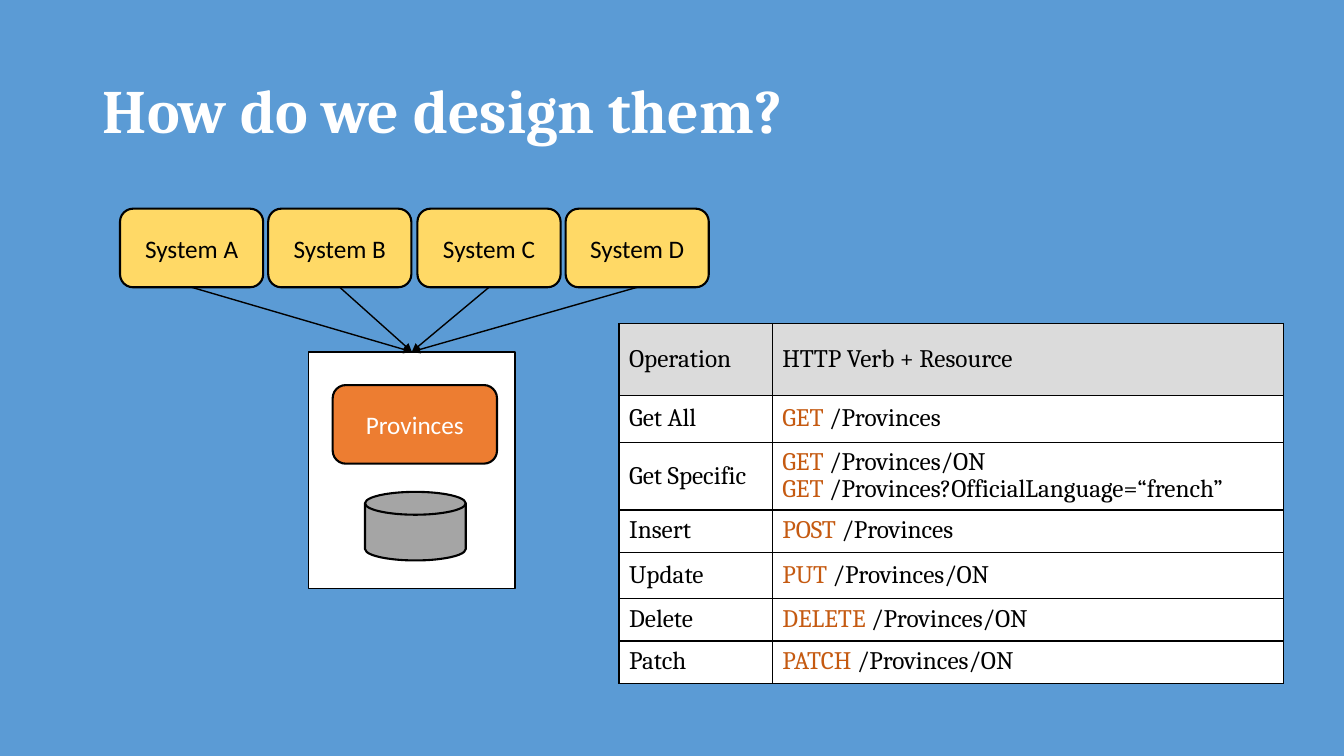
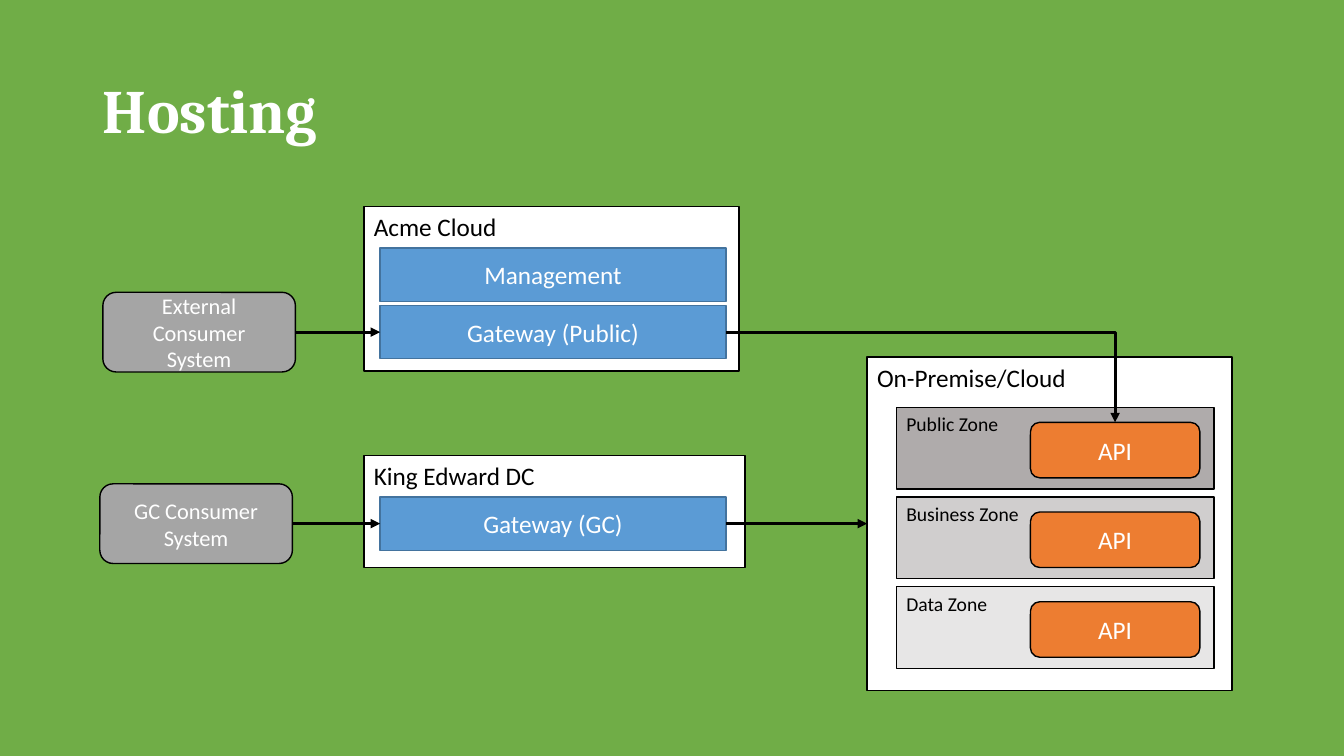
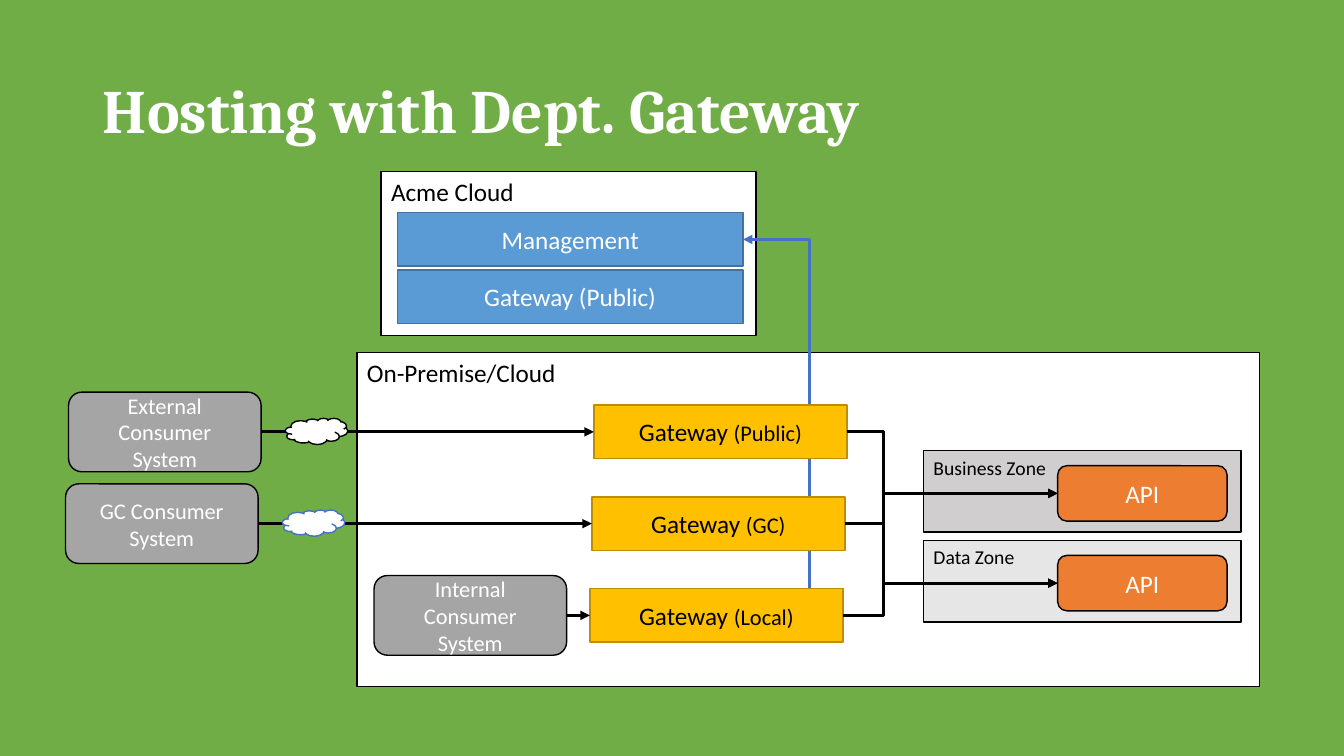
from collections import namedtuple
from dataclasses import dataclass

from lxml import etree
from pptx import Presentation
from pptx.dml.color import RGBColor
from pptx.enum.shapes import MSO_CONNECTOR, MSO_SHAPE
from pptx.enum.text import MSO_ANCHOR, MSO_AUTO_SIZE, PP_ALIGN
from pptx.oxml.ns import qn
from pptx.util import Pt

RECT = MSO_SHAPE.RECTANGLE
ROUND = MSO_SHAPE.ROUNDED_RECTANGLE
DISK = MSO_SHAPE.FLOWCHART_MAGNETIC_DISK
CLOUD = MSO_SHAPE.CLOUD
STRAIGHT = MSO_CONNECTOR.STRAIGHT
ELBOW = MSO_CONNECTOR.ELBOW
LEFT, CENTER = PP_ALIGN.LEFT, PP_ALIGN.CENTER
TOP, MIDDLE = MSO_ANCHOR.TOP, MSO_ANCHOR.MIDDLE
SIDE_TOP, SIDE_LEFT, SIDE_BOTTOM, SIDE_RIGHT = range(4)
PX = 9144
TITLE_ONLY = 5


@dataclass(frozen=True)
class Theme:
    white: str = "FFFFFF"
    black: str = "000000"
    blue: str = "5B9BD5"
    blue_edge: str = "43739E"
    sync: str = "4472C4"
    green: str = "70AD47"
    orange: str = "ED7D31"
    verb: str = "C55A11"
    yellow: str = "FFD966"
    gold: str = "FFC000"
    gold_edge: str = "BD8E00"
    gray: str = "A5A5A5"
    header: str = "DBDBDB"
    public_zone: str = "AFABAB"
    business_zone: str = "D0CECE"
    data_zone: str = "E7E6E6"
    heading_font: str = "Cambria"
    body_font: str = "Calibri"
    title_size: int = 44
    body_size: int = 18
    consumer_size: int = 16
    zone_size: int = 14


THEME = Theme()


class Box(namedtuple("Box", "left top width height")):
    def within(self, left, top, width, height):
        return Box(self.left + left, self.top + top, width, height)

    def emu(self):
        return [length * PX for length in self]


def rgb(color):
    return RGBColor.from_string(color)


def add_span(para, text, size, color, font, bold):
    span = para.add_run()
    span.text = text
    span.font.size = Pt(size)
    span.font.color.rgb = rgb(color)
    span.font.name = font
    span.font.bold = bold


def write(frame, text, size=THEME.body_size, color=THEME.black, font=THEME.body_font,
          bold=False, align=LEFT, spacing=None, rest=None):
    style = {"size": size, "color": color, "font": font, "bold": bold}
    for index, line in enumerate(text.split("\n")):
        para = frame.add_paragraph() if index else frame.paragraphs[0]
        para.alignment = align
        if spacing:
            para.line_spacing = spacing
        if rest:
            first, gap, tail = line.partition(" ")
            add_span(para, first + gap, **style)
            add_span(para, tail, **{**style, **rest})
        else:
            add_span(para, line, **style)


def add_block(page, box, kind=RECT, fill=THEME.white, edge=THEME.black, weight=1,
              text="", anchor=MIDDLE, align=CENTER, **style):
    block = page.shapes.add_shape(kind, *box.emu())
    block.shadow.inherit = False
    block.fill.solid()
    block.fill.fore_color.rgb = rgb(fill)
    block.line.color.rgb = rgb(edge)
    block.line.width = Pt(weight)
    if text:
        block.text_frame.word_wrap = True
        block.text_frame.vertical_anchor = anchor
        write(block.text_frame, text, align=align, **style)
    return block


def add_panel(page, box, text, **style):
    return add_block(page, box, text=text, anchor=TOP, align=LEFT, **style)


def add_link(page, start, end, color=THEME.black, weight=2.25, kind=STRAIGHT,
             arrow="tailEnd"):
    link = page.shapes.add_connector(kind, 0, 0, 0, 0)
    link.begin_connect(*start)
    if isinstance(end, Box):
        link.end_x, link.end_y = end.left * PX, end.top * PX
    else:
        link.end_connect(*end)
    link.line.color.rgb = rgb(color)
    link.line.width = Pt(weight)
    properties = link._element.spPr
    etree.SubElement(properties.find(qn("a:ln")), qn(f"a:{arrow}"), type="triangle")
    etree.SubElement(properties, qn("a:effectLst"))
    return link


def add_corner(page, start, end, **style):
    link = add_link(page, start, end, kind=ELBOW, **style)
    link._element.spPr.find(qn("a:prstGeom")).set("prst", "bentConnector2")


def add_bend(page, start, end, bend):
    link = add_link(page, start, end, kind=ELBOW)
    share = (bend * PX - link.begin_x) / (link.end_x - link.begin_x)
    guides = link._element.spPr.find(qn("a:prstGeom")).find(qn("a:avLst"))
    etree.SubElement(guides, qn("a:gd"), name="adj1", fmla=f"val {round(share * 100000)}")


def add_page(deck, title, color):
    page = deck.slides.add_slide(deck.slide_layouts[TITLE_ONLY])
    page.background.fill.solid()
    page.background.fill.fore_color.rgb = rgb(color)
    heading = page.shapes.title
    heading.left, heading.top, heading.width, heading.height = Box(92, 40, 1150, 145).emu()
    heading.text_frame.auto_size = MSO_AUTO_SIZE.NONE
    heading.text_frame.vertical_anchor = MIDDLE
    write(heading.text_frame, title, size=THEME.title_size, color=THEME.white,
          font=THEME.heading_font, bold=True, spacing=0.9)
    return page


def add_service(page, box):
    service = add_block(page, box)
    add_block(page, box.within(56, 139, 100, 68), DISK, THEME.gray, weight=1.5)
    add_block(page, box.within(24, 33, 163, 78), ROUND, THEME.orange, weight=1.5,
              text="Provinces", color=THEME.white)
    return service


def add_systems(page, box, names, service):
    width = 142
    pitch = (box.width - width) / (len(names) - 1)
    for index, name in enumerate(names):
        place = box.within(round(index * pitch), 0, width, box.height)
        system = add_block(page, place, ROUND, THEME.yellow, weight=1.5, text=f"System {name}")
        add_link(page, (system, SIDE_BOTTOM), (service, SIDE_TOP), weight=1)


def style_cell(cell, fill):
    cell.vertical_anchor = MIDDLE
    cell.fill.solid()
    cell.fill.fore_color.rgb = rgb(fill)
    properties = cell._tc.get_or_add_tcPr()
    for index, side in enumerate(("lnL", "lnR", "lnT", "lnB")):
        border = etree.Element(qn(f"a:{side}"), w=str(Pt(1)))
        paint = etree.SubElement(border, qn("a:solidFill"))
        etree.SubElement(paint, qn("a:srgbClr"), val=THEME.black)
        properties.insert(index, border)


def add_operations(page, box, rows, widths, heights):
    table = page.shapes.add_table(len(rows), len(widths), *box.emu()).table
    table.first_row = table.horz_banding = False
    for column, width in zip(table.columns, widths):
        column.width = width * PX
    for row, height in zip(table.rows, heights):
        row.height = height * PX
    for index, (operation, request) in enumerate(rows):
        for cell in table.rows[index].cells:
            style_cell(cell, THEME.white if index else THEME.header)
        name, call = (cell.text_frame for cell in table.rows[index].cells)
        write(name, operation, font=THEME.heading_font, spacing=0.9)
        write(call, request, font=THEME.heading_font, spacing=0.9,
              color=THEME.verb if index else THEME.black,
              rest={"color": THEME.black} if index else None)


def add_bar(page, box, text):
    return add_block(page, box, fill=THEME.blue, edge=THEME.blue_edge, text=text,
                     color=THEME.white)


def add_center(page, box, name, bars):
    add_panel(page, box, name)
    return [add_bar(page, box.within(16, 41 + 57 * index, 343, 53), bar)
            for index, bar in enumerate(bars)]


def add_cloud_center(page, box):
    return add_center(page, box, "Acme Cloud", ("Management", "Gateway (Public)"))


def add_consumer(page, box, name):
    return add_block(page, box, ROUND, THEME.gray, text=f"{name} Consumer\nSystem",
                     size=THEME.consumer_size, color=THEME.white)


def add_zones(page, box, zones):
    interfaces = []
    for index, (name, fill) in enumerate(zones):
        zone = box.within(0, 89 * index, box.width, 81)
        add_panel(page, zone, f"{name} Zone", fill=fill, size=THEME.zone_size)
        interfaces.append(add_block(page, zone.within(133, 15, 168, 55), ROUND, THEME.orange,
                                    text="API", color=THEME.white))
    return interfaces


def add_gateways(page, box, names):
    return [add_block(page, box.within(-2 * index, 91 * index, box.width, box.height),
                      fill=THEME.gold, edge=THEME.gold_edge, text=f"Gateway ({name})",
                      rest={"size": THEME.consumer_size})
            for index, name in enumerate(names)]


def design_page(deck):
    page = add_page(deck, "How do we design them?", THEME.blue)
    service = add_service(page, Box(306, 349, 205, 235))
    add_systems(page, Box(119, 207, 584, 78), "ABCD", service)
    rows = (
        ("Operation", "HTTP Verb + Resource"),
        ("Get All", "GET /Provinces"),
        ("Get Specific", "GET /Provinces/ON\nGET /Provinces?OfficialLanguage=“french”"),
        ("Insert", "POST /Provinces"),
        ("Update", "PUT /Provinces/ON"),
        ("Delete", "DELETE /Provinces/ON"),
        ("Patch", "PATCH /Provinces/ON"),
    )
    add_operations(page, Box(614, 321, 659, 358), rows, (152, 507),
                   (71, 47, 67, 42, 46, 42, 42))


def hosting_page(deck, zones):
    page = add_page(deck, "Hosting", THEME.green)
    public_gateway = add_cloud_center(page, Box(361, 205, 372, 163))[1]
    internal_gateway = add_center(page, Box(361, 452, 378, 111), "King Edward DC",
                                  ("Gateway (GC)",))[0]
    premise_box = Box(860, 354, 362, 331)
    premise = add_panel(page, premise_box, "On-Premise/Cloud")
    interfaces = add_zones(page, premise_box.within(29, 50, 315, 260), zones)
    external = add_consumer(page, Box(102, 290, 191, 79), "External")
    internal = add_consumer(page, Box(99, 480, 191, 79), "GC")
    add_link(page, (external, SIDE_RIGHT), (public_gateway, SIDE_LEFT))
    add_link(page, (internal, SIDE_RIGHT), (internal_gateway, SIDE_LEFT))
    add_link(page, (internal_gateway, SIDE_RIGHT), (premise, SIDE_LEFT))
    add_corner(page, (public_gateway, SIDE_RIGHT), (interfaces[0], SIDE_TOP))


def department_page(deck, zones):
    page = add_page(deck, "Hosting with Dept. Gateway", THEME.green)
    premise = Box(354, 350, 895, 331)
    add_panel(page, premise, "On-Premise/Cloud")
    management = add_cloud_center(page, Box(378, 170, 372, 163))[0]
    add_corner(page, (management, SIDE_RIGHT), premise.within(449, 234, 0, 0),
               color=THEME.sync, arrow="headEnd")
    gateways = add_gateways(page, premise.within(235, 52, 251, 53), ("Public", "GC", "Local"))
    interfaces = add_zones(page, premise.within(562, 97, 315, 170), zones)
    consumers = (("External", 68, THEME.black), ("GC", 65, THEME.sync), ("Internal", 371, None))
    for index, (name, left, cloud_edge) in enumerate(consumers):
        box = Box(left, 389 + 91 * index, 191, 79)
        consumer = add_consumer(page, box, name)
        add_link(page, (consumer, SIDE_RIGHT), (gateways[index], SIDE_LEFT))
        if cloud_edge:
            add_block(page, box.within(215, 26, 62, 26), CLOUD, edge=cloud_edge)
    for source, target in ((0, 0), (0, 1), (1, 0), (2, 1)):
        add_bend(page, (gateways[source], SIDE_RIGHT), (interfaces[target], SIDE_LEFT), 876)


def main():
    deck = Presentation()
    deck.slide_width, deck.slide_height = 1333 * PX, 750 * PX
    zones = (("Public", THEME.public_zone), ("Business", THEME.business_zone),
             ("Data", THEME.data_zone))
    design_page(deck)
    hosting_page(deck, zones)
    department_page(deck, zones[1:])
    deck.save("out.pptx")


if __name__ == "__main__":
    main()
